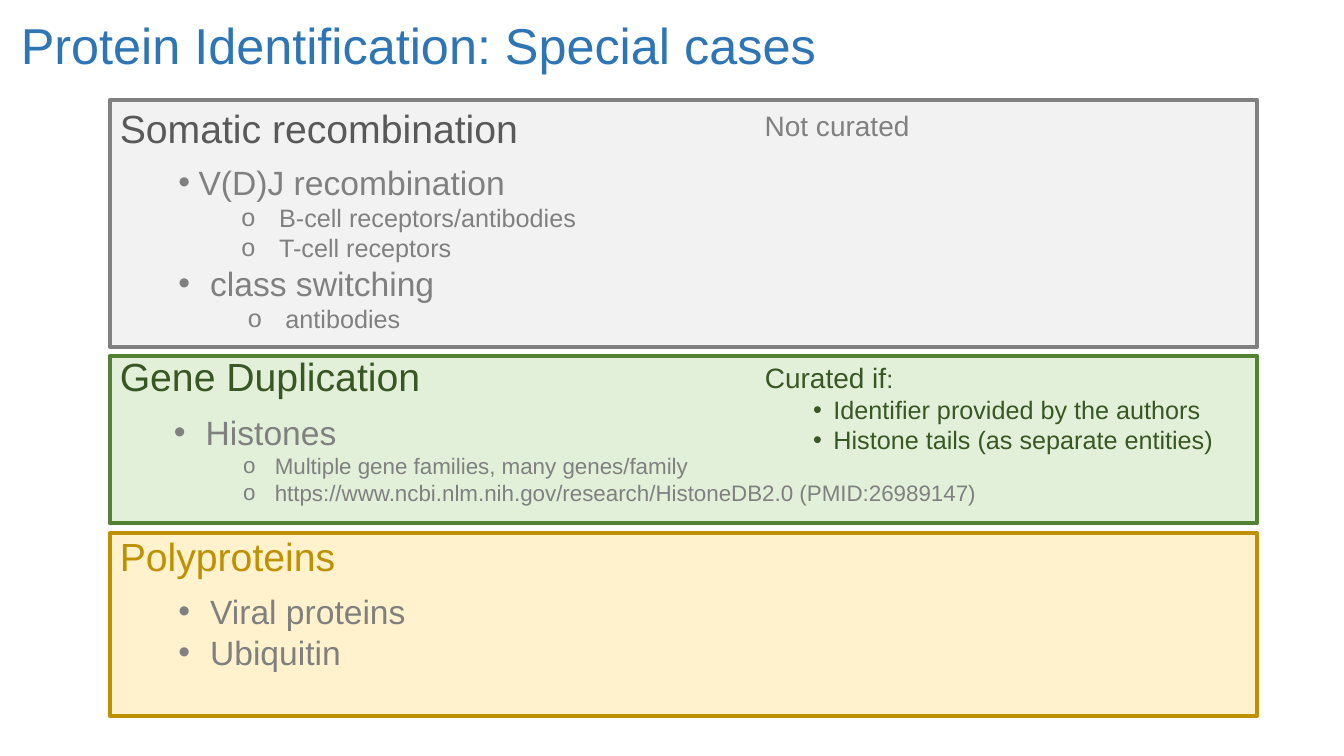
"""Build the slide on special cases of protein identification."""
from lxml import etree
from pptx import Presentation
from pptx import util as u
from pptx.dml import color
from pptx.enum import shapes, text
from pptx.oxml import ns

THEME = {
    "font": "Arial",
    "size": {"title": 36, "heading": 28, "item": 24, "status": 20, "detail": 18, "small": 16},
    "color": {
        "title": "2E75B6", "grey": "808080", "grey_dark": "595959", "grey_fill": "F2F2F2",
        "green": "548235", "green_dark": "385723", "green_fill": "E2F0D9",
        "gold": "BF9000", "gold_fill": "FFF2CC",
    },
}


def rgb(name):
    return color.RGBColor.from_string(THEME["color"][name])


def write(box, area, lines, ink, wrap=False):
    """Place a box and fill it with (spans, bullet, margin, hanging) lines."""
    box.left, box.top, box.width, box.height = (u.Cm(length) for length in area)
    frame = box.text_frame
    frame_format = {
        "word_wrap": wrap,
        "auto_size": text.MSO_AUTO_SIZE.SHAPE_TO_FIT_TEXT,
        "vertical_anchor": text.MSO_ANCHOR.TOP,
    }
    for key, value in frame_format.items():
        setattr(frame, key, value)
    for number, (spans, bullet, margin, hanging) in enumerate(lines):
        para = frame.add_paragraph() if number else frame.paragraphs[0]
        properties = para._p.get_or_add_pPr()
        properties.set("marL", str(u.Cm(margin)))
        properties.set("indent", str(-u.Cm(hanging)))
        if bullet:
            etree.SubElement(properties, ns.qn("a:buFont")).set("typeface", THEME["font"])
            etree.SubElement(properties, ns.qn("a:buChar")).set("char", bullet)
        else:
            etree.SubElement(properties, ns.qn("a:buNone"))
        para_format = {
            "alignment": text.PP_ALIGN.LEFT, "space_before": u.Pt(0),
            "space_after": u.Pt(0), "line_spacing": 1.0,
        }
        for key, value in para_format.items():
            setattr(para, key, value)
        for words, size in spans:
            span = para.add_run()
            span.text = words
            span_format = {"name": THEME["font"], "size": u.Pt(THEME["size"][size]), "bold": False}
            for key, value in span_format.items():
                setattr(span.font, key, value)
            span.font.color.rgb = rgb(ink)


deck = Presentation()
deck.slide_width, deck.slide_height = u.Cm(33.87), u.Cm(19.05)
page = deck.slides.add_slide(deck.slide_layouts.get_by_name("Comparison"))

PANEL_LEFT, PANEL_WIDTH = 2.77, 28.91
STATUS_LEFT = 19.02

panels = [
    ("Polyproteins", 13.44, 4.6, "gold_fill", "gold", 13.28, 6.02, "gold"),
    ("Gene Duplication", 8.97, 4.22, "green_fill", "green", 8.76, 8.18, "green_dark"),
    ("Somatic recombination", 2.52, 6.22, "grey_fill", "grey", 2.51, 10.67, "grey_dark"),
]
for depth, (name, top, height, fill, edge, label_top, label_width, ink) in enumerate(panels):
    panel = page.shapes.add_shape(
        shapes.MSO_SHAPE.RECTANGLE, u.Cm(PANEL_LEFT), u.Cm(top), u.Cm(PANEL_WIDTH), u.Cm(height))
    panel.shadow.inherit = False
    panel.fill.solid()
    panel.fill.fore_color.rgb = rgb(fill)
    panel.line.color.rgb = rgb(edge)
    panel.line.width = u.Pt(3)
    page.shapes._spTree.insert(2 + depth, panel._element)
    heading = page.shapes.add_textbox(0, 0, 0, 0)
    write(heading, (PANEL_LEFT, label_top, label_width, 1.44), [([(name, "heading")], None, 0, 0)], ink)

write(page.shapes.title, (0.27, 0.23, 20.75, 1.8),
      [([("Protein Identification: Special cases", "title")], None, 0, 0)], "title")

lists = [
    (1, (4.24, 3.96, 13.77, 4.62), "grey", True, [
        ([("V(D)J recombination", "item")], "•", 0.51, 0.51),
        ([("B-cell receptors/antibodies", "detail")], "o", 2.54, 0.95),
        ([("T-cell receptors", "detail")], "o", 2.54, 0.95),
        ([("class switching", "item")], "•", 0.8, 0.8),
        ([("antibodies", "detail")], "o", 2.7, 0.95),
    ]),
    (2, (4.13, 10.26, 21.95, 2.64), "grey", True, [
        ([("Histones", "item")], "•", 0.8, 0.8),
        ([("Multiple gene families, many genes/family", "small")], "o", 2.54, 0.8),
        ([("https://www.ncbi.nlm.nih.gov/research/HistoneDB2.0 (PMID:26989147)", "small")],
         "o", 2.54, 0.8),
    ]),
    (3, (4.24, 14.77, 6.3, 2.31), "grey", False, [
        ([("Viral proteins", "item")], "•", 0.8, 0.8),
        ([("Ubiquitin", "item")], "•", 0.8, 0.8),
    ]),
    (4, (STATUS_LEFT, 8.96, 11.91, 2.64), "green_dark", False, [
        ([("Curated if", "status"), (":", "detail")], None, 0, 0),
        ([("Identifier provided by the authors", "detail")], "•", 1.73, 0.51),
        ([("Histone tails (as separate entities)", "detail")], "•", 1.73, 0.51),
    ]),
]
for index, area, ink, wrap, lines in lists:
    write(page.placeholders[index], area, lines, ink, wrap)

status = page.shapes.add_textbox(0, 0, 0, 0)
write(status, (STATUS_LEFT, 2.62, 4.19, 1.12), [([("Not curated", "status")], None, 0, 0)], "grey")

deck.save("out.pptx")
